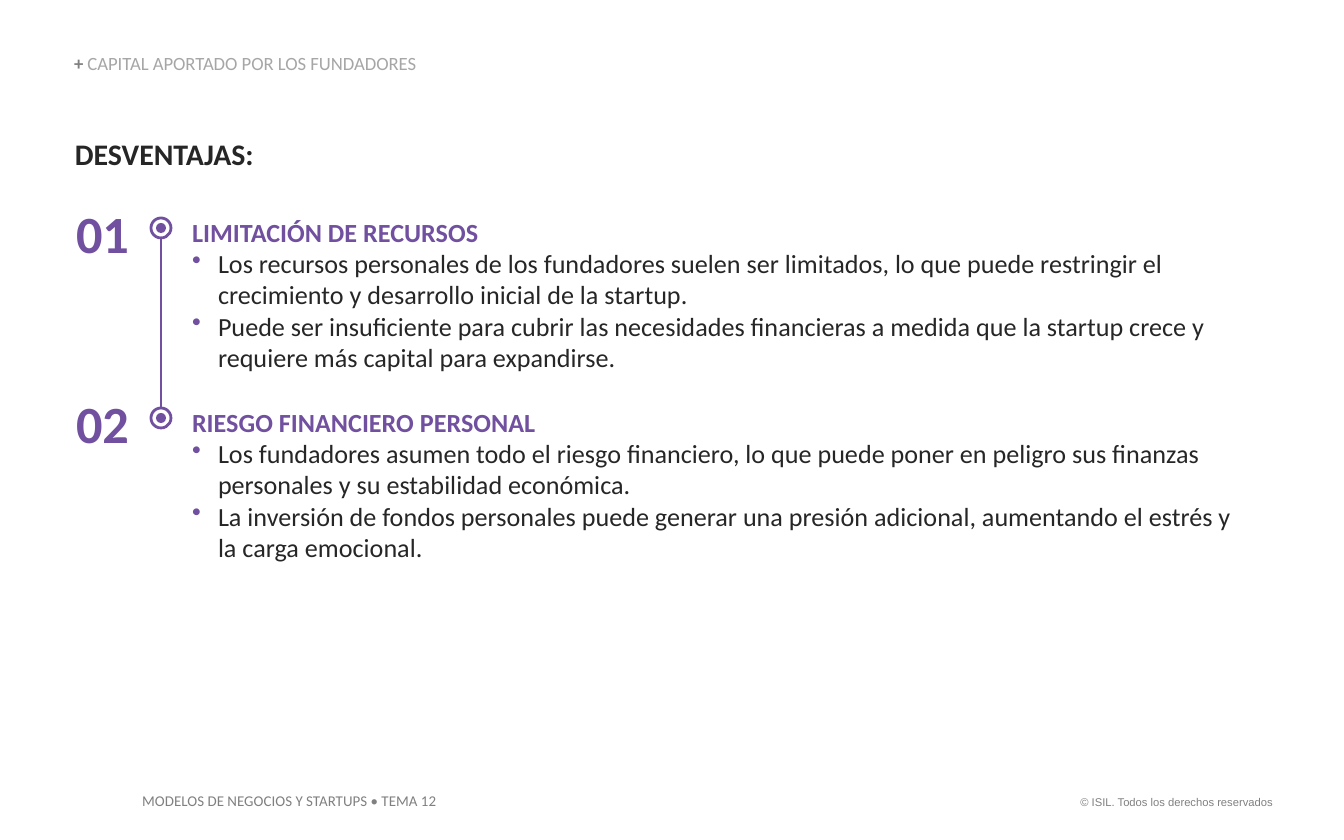
"""Build the slide on the disadvantages of founders' own capital."""
from dataclasses import dataclass
from typing import Any

from lxml import etree
from pptx import Presentation
from pptx import util as u
from pptx.dml.color import RGBColor
from pptx.enum import shapes, text
from pptx.oxml import ns

PX = 914400 / 134.4
PURPLE = RGBColor(0x71, 0x50, 0xA0)
DARK = RGBColor(0x26, 0x26, 0x26)
GRAY = RGBColor(0x80, 0x80, 0x80)
LIGHT = RGBColor(0xA6, 0xA6, 0xA6)
WHITE = RGBColor(0xFF, 0xFF, 0xFF)

FIRST_TOP, STEP = 216, 190
AXIS_X = 161
RING, DOT = 20, 10
INDENT = 26
NO_INSETS = dict.fromkeys(
    ("margin_left", "margin_top", "margin_right", "margin_bottom"), 0)


@dataclass(frozen=True)
class Run:
    words: str
    size: int
    color: RGBColor
    bold: bool = False
    font: str = "Calibri"


@dataclass(frozen=True)
class Para:
    runs: tuple[Run, ...]
    bullet: bool = False
    fmt: tuple[tuple[str, Any], ...] = ()


@dataclass(frozen=True)
class Drawback:
    number: str
    title: str
    points: tuple[str, ...]


DRAWBACKS = (
    Drawback("01", "LIMITACIÓN DE RECURSOS", (
        "Los recursos personales de los fundadores suelen ser limitados, lo que "
        "puede restringir el crecimiento y desarrollo inicial de la startup.",
        "Puede ser insuficiente para cubrir las necesidades financieras a medida "
        "que la startup crece y requiere más capital para expandirse.")),
    Drawback("02", "RIESGO FINANCIERO PERSONAL", (
        "Los fundadores asumen todo el riesgo financiero, lo que puede poner en "
        "peligro sus finanzas personales y su estabilidad económica.",
        "La inversión de fondos personales puede generar una presión adicional, "
        "aumentando el estrés y la carga emocional.")),
)


def emu(px: float) -> u.Emu:
    return u.Emu(round(px * PX))


def set_all(target: Any, values: dict[str, Any]) -> None:
    for name, value in values.items():
        setattr(target, name, value)


def add_bullet(p: Any) -> None:
    ppr = p._p.get_or_add_pPr()
    ppr.set("marL", str(emu(INDENT)))
    ppr.set("indent", str(emu(-INDENT)))
    clr = etree.SubElement(ppr, ns.qn("a:buClr"))
    etree.SubElement(clr, ns.qn("a:srgbClr"), val=str(PURPLE))
    etree.SubElement(ppr, ns.qn("a:buChar"), char="•")


def add_text(s: Any, box: tuple[int, int, int, int], paras: list[Para],
             **frame: Any) -> None:
    tf = s.shapes.add_textbox(*map(emu, box)).text_frame
    set_all(tf, {"word_wrap": True,
                 "auto_size": text.MSO_AUTO_SIZE.SHAPE_TO_FIT_TEXT, **frame})
    for i, para in enumerate(paras):
        p = tf.add_paragraph() if i else tf.paragraphs[0]
        if para.bullet:
            add_bullet(p)
        set_all(p, dict(para.fmt))
        for run in para.runs:
            r = p.add_run()
            r.text = run.words
            set_all(r.font, {"name": run.font, "size": u.Pt(run.size),
                             "bold": run.bold})
            r.font.color.rgb = run.color


def add_circle(s: Any, y: int, size: int, fill: RGBColor, outlined: bool) -> None:
    sp = s.shapes.add_shape(shapes.MSO_SHAPE.OVAL, emu(AXIS_X - size / 2),
                            emu(y - size / 2), emu(size), emu(size))
    sp.shadow.inherit = False
    sp.fill.solid()
    sp.fill.fore_color.rgb = fill
    if outlined:
        sp.line.color.rgb = PURPLE
        sp.line.width = u.Pt(1.5)
    else:
        sp.line.fill.background()


def add_axis(s: Any, top: int, bottom: int) -> None:
    line = s.shapes.add_connector(shapes.MSO_CONNECTOR.STRAIGHT, emu(AXIS_X),
                                  emu(top), emu(AXIS_X), emu(bottom))
    line.line.color.rgb = PURPLE
    line.line.width = u.Pt(1)
    etree.SubElement(line._element.spPr, ns.qn("a:effectLst"))


def add_drawback(s: Any, item: Drawback, top: int) -> None:
    centered = (("alignment", text.PP_ALIGN.CENTER),)
    number = Para((Run(item.number, 28, PURPLE, True),), fmt=centered)
    add_text(s, (73, top - 15, 59, 63), [number], **NO_INSETS)
    paras = [Para((Run(item.title, 14, PURPLE, True),))]
    paras += [Para((Run(point, 14, DARK),), bullet=True) for point in item.points]
    add_text(s, (192, top, 1042, 159), paras, **NO_INSETS)
    add_circle(s, top + 12, RING, WHITE, True)
    add_circle(s, top + 12, DOT, PURPLE, False)


def main() -> None:
    prs = Presentation()
    set_all(prs, {"slide_width": emu(1344), "slide_height": emu(840)})
    s = prs.slides.add_slide(prs.slide_layouts[6])

    right = (("alignment", text.PP_ALIGN.RIGHT),)
    add_text(s, (1059, 789, 227, 27), [Para((Run(
        "© ISIL. Todos los derechos reservados", 6, GRAY, font="Arial"),),
        fmt=right)], word_wrap=False)
    add_text(s, (129, 785, 329, 32), [Para((Run(
        "MODELOS DE NEGOCIOS Y STARTUPS • TEMA 12", 8, GRAY),))],
        word_wrap=False)
    add_text(s, (74, 55, 571, 20), [Para(
        (Run("+ ", 10, GRAY, True),
         Run("CAPITAL APORTADO POR LOS FUNDADORES", 10, LIGHT)),
        fmt=(("line_spacing", 0.9),))],
        vertical_anchor=text.MSO_ANCHOR.BOTTOM, **NO_INSETS)
    add_text(s, (75, 136, 1200, 36),
             [Para((Run("DESVENTAJAS:", 16, DARK, True),))], **NO_INSETS)

    add_axis(s, FIRST_TOP + 12, FIRST_TOP + 12 + STEP * (len(DRAWBACKS) - 1))
    for i, item in enumerate(DRAWBACKS):
        add_drawback(s, item, FIRST_TOP + i * STEP)
    prs.save("out.pptx")


if __name__ == "__main__":
    main()
